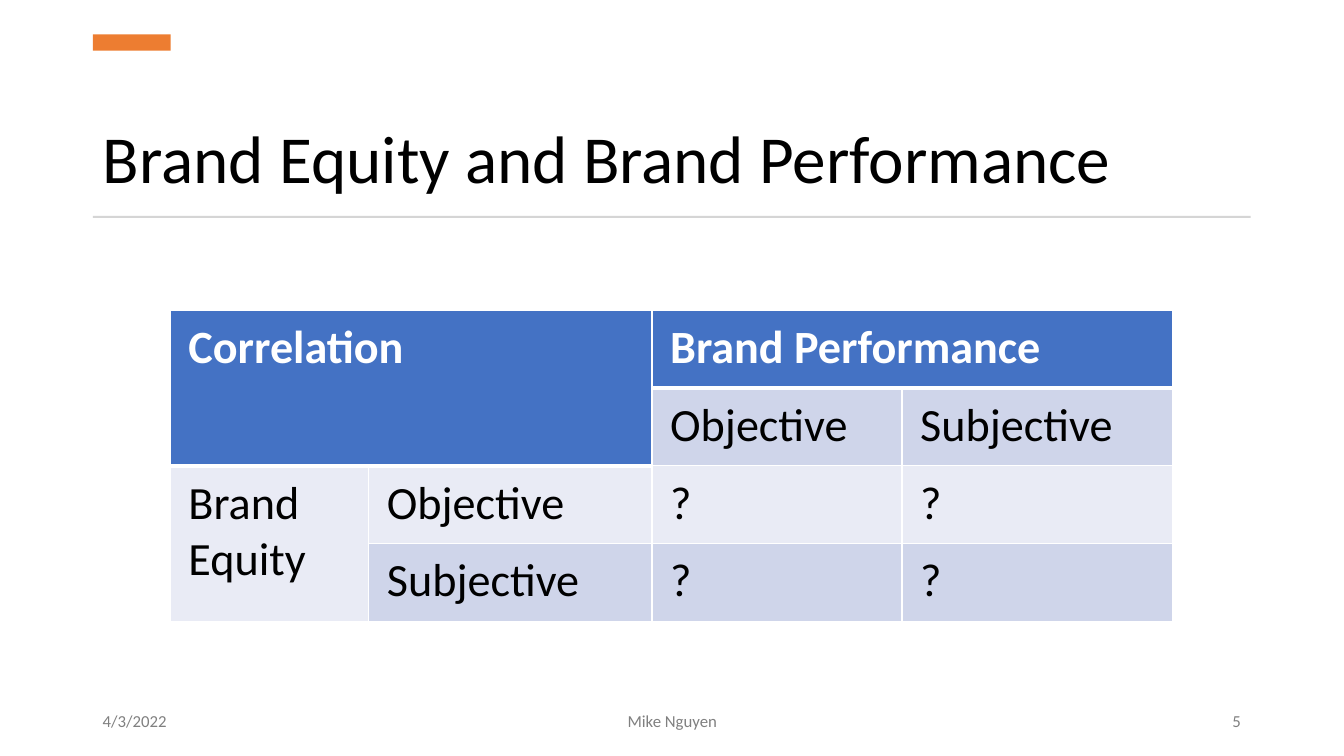
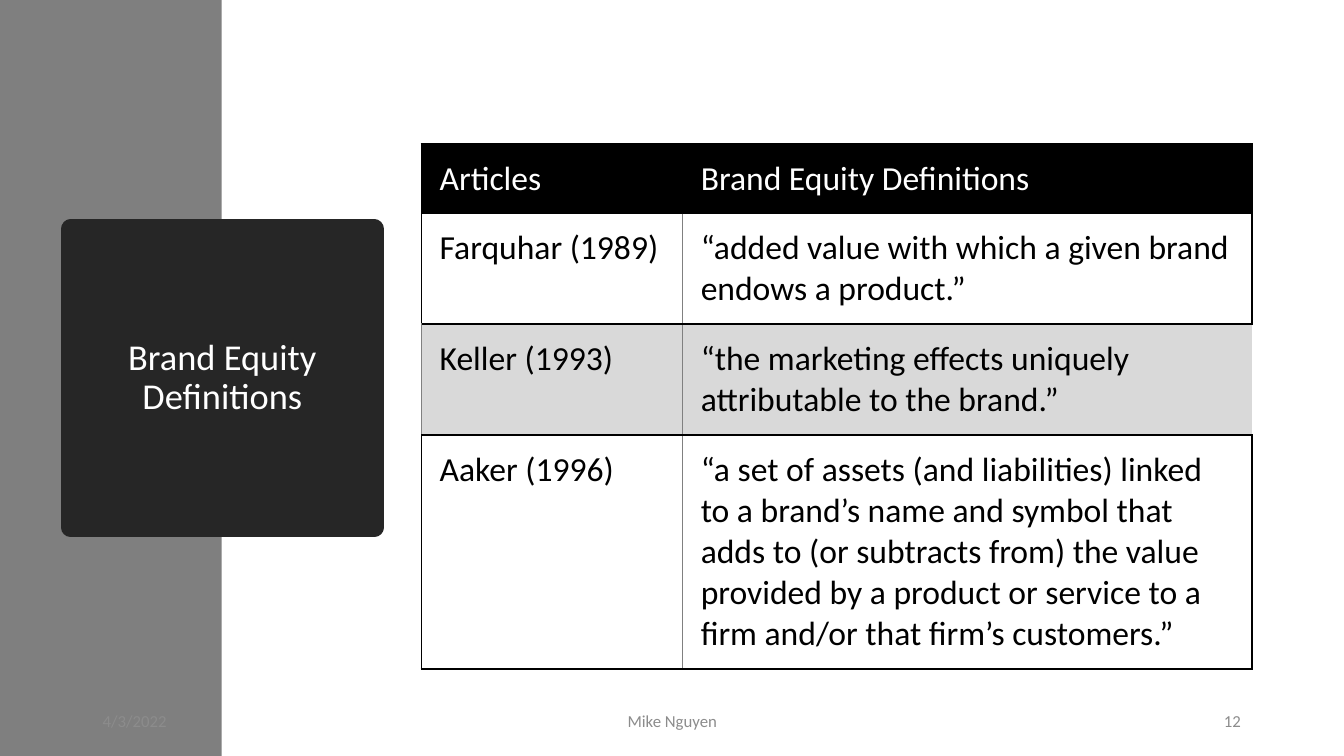
from lxml import etree
from pptx import Presentation
from pptx.dml.color import RGBColor
from pptx.enum import shapes, text
from pptx.oxml.ns import qn
from pptx.util import Cm, Pt

FONT = "Calibri"
WIDE, HIGH = 33.87, 19.05
LEFT, SPAN = 2.34, 29.18
NO_STYLE = "{2D5ABB26-0587-4C30-8999-92F81FD0307C}"
ALIGN = text.PP_ALIGN
MIDDLE = text.MSO_ANCHOR.MIDDLE

BLACK, WHITE, GREY = "000000", "FFFFFF", "808080"
DARK, BAND, ORANGE, RULE = "262626", "7F7F7F", "ED7D31", "D5D5D5"
BLUE, PALE, LIGHT, SHADE = "4472C4", "CFD5EA", "E9EBF5", "D9D9D9"

DATE, AUTHOR = "4/3/2022", "Mike Nguyen"

MATRIX = {
    "at": (4.29, 7.82),
    "cols": (5, 7.14, 6.3, 6.81),
    "rows": (1.96,) * 4,
    "inset": (0.46, 0.23, 0.46, 0.23),
    "size": 33,
    "cells": [
        ("Correlation", "", "Brand Performance", ""),
        ("", "", "Objective", "Subjective"),
        ("Brand Equity", "Objective", "?", "?"),
        ("", "Subjective", "?", "?"),
    ],
    "spans": [((0, 0), (1, 1)), ((0, 2), (0, 3)), ((2, 0), (3, 0))],
}
QUOTES = {
    "at": (10.62, 3.63),
    "cols": (6.58, 14.35),
    "rows": (1.7, 2.79, 2.79, 5.87),
    "inset": (0.46, 0.36, 0.36, 0.36),
    "size": 24,
    "cells": [
        ("Articles", "Brand Equity Definitions"),
        ("Farquhar (1989)",
         "“added value with which a given brand endows a product.”"),
        ("Keller (1993)",
         "“the marketing effects uniquely attributable to the brand.”"),
        ("Aaker (1996)",
         "“a set of assets (and liabilities) linked to a brand’s name and "
         "symbol that adds to (or subtracts from) the value provided by a "
         "product or service to a firm and/or that firm’s customers.”"),
    ],
    "spans": [],
}


def rgb(code):
    return RGBColor.from_string(code)


def paint(item, code):
    item.fill.solid()
    item.fill.fore_color.rgb = rgb(code)


def write(frame, words, size, color, align=ALIGN.LEFT, bold=False):
    frame.text = words
    for para in frame.paragraphs:
        para.alignment = align
        for run in para.runs:
            font = run.font
            font.name, font.size, font.bold = FONT, Pt(size), bold
            font.color.rgb = rgb(color)


def block(slide, box, color):
    """Add a plain filled rectangle."""
    shape = slide.shapes.add_shape(shapes.MSO_SHAPE.RECTANGLE, *map(Cm, box))
    shape.shadow.inherit = False
    paint(shape, color)
    shape.line.fill.background()
    return shape


def head(slide, words, box, size, color, align, anchor):
    """Place and format the title placeholder."""
    title = slide.shapes.title
    title.left, title.top, title.width, title.height = map(Cm, box)
    frame = title.text_frame
    write(frame, words, size, color, align)
    frame.auto_size = text.MSO_AUTO_SIZE.NONE
    frame.vertical_anchor = anchor
    frame.paragraphs[0].line_spacing = 0.9
    return title


def footer(slide, number, color):
    parts = [
        (DATE, LEFT, 6.86, ALIGN.LEFT),
        (AUTHOR, 11.23, 11.43, ALIGN.CENTER),
        (str(number), LEFT + SPAN - 6.9, 6.9, ALIGN.RIGHT),
    ]
    for words, left, width, align in parts:
        box = slide.shapes.add_textbox(Cm(left), Cm(17.65), Cm(width), Cm(1.02))
        frame = box.text_frame
        frame.word_wrap = True
        frame.vertical_anchor = MIDDLE
        write(frame, words, 12, color, align)


def border(cell, edges):
    """Draw cell borders; edges maps L, R, T, B to (colour, points)."""
    props = cell._tc.get_or_add_tcPr()
    drawn = [side for side in "LRTB" if side in edges]
    for spot, side in enumerate(drawn):
        color, width = edges[side]
        line = etree.Element(qn("a:ln" + side), w=str(Pt(width)))
        fill = etree.SubElement(line, qn("a:solidFill"))
        etree.SubElement(fill, qn("a:srgbClr"), val=color)
        props.insert(spot, line)


def grid(slide, data, style):
    """Add a table; style(row, col) gives fill, ink, bold, anchor, edges."""
    cols, rows = data["cols"], data["rows"]
    box = (*data["at"], sum(cols), sum(rows))
    table = slide.shapes.add_table(len(rows), len(cols), *map(Cm, box)).table
    table.first_row = table.horz_banding = False
    table._tbl.tblPr.find(qn("a:tableStyleId")).text = NO_STYLE
    for col, width in zip(table.columns, cols):
        col.width = Cm(width)
    for row, height in zip(table.rows, rows):
        row.height = Cm(height)
    for r, line in enumerate(data["cells"]):
        for c, words in enumerate(line):
            cell = table.cell(r, c)
            fill, ink, bold, anchor, edges = style(r, c)
            (cell.margin_left, cell.margin_top, cell.margin_right,
             cell.margin_bottom) = map(Cm, data["inset"])
            cell.vertical_anchor = anchor
            write(cell.text_frame, words, data["size"], ink, bold=bold)
            if fill:
                paint(cell, fill)
            else:
                cell.fill.background()
            border(cell, edges)
    for first, last in data["spans"]:
        table.cell(*first).merge(table.cell(*last))


def heading(r, c):
    return r == 0 or (r == 1 and c < 2)


def matrix(r, c):
    edges = dict.fromkeys("LRTB", (WHITE, 1))
    if heading(r, c):
        edges["B"] = (WHITE, 3)
    elif heading(r - 1, c):
        edges["T"] = (WHITE, 3)
    top = text.MSO_ANCHOR.TOP
    if heading(r, c):
        return BLUE, WHITE, True, top, edges
    return (LIGHT if r == 2 else PALE), BLACK, False, top, edges


def quotes(r, c):
    thick, thin = (BLACK, 1.5), (GREY, 0.5)
    outer = "R" if c else "L"
    if r == 0:
        edges = {"T": thick, "L": thick, "R": thick}
        return BLACK, WHITE, False, MIDDLE, edges
    edges = {"R" if c == 0 else "L": thin}
    if r == 2:
        edges["T"] = thick
        if c == 0:
            edges["L"] = thin
    else:
        edges[outer] = edges["B"] = thick
    fill = SHADE if r == 2 else None
    return fill, BLACK, False, text.MSO_ANCHOR.TOP, edges


def main():
    deck = Presentation()
    deck.slide_width, deck.slide_height = Cm(WIDE), Cm(HIGH)
    layout = deck.slide_layouts[5]

    slide = deck.slides.add_slide(layout)
    head(slide, "Brand Equity and Brand Performance", (LEFT, 1.9, SPAN, 3.23),
         48, BLACK, ALIGN.LEFT, text.MSO_ANCHOR.BOTTOM)
    block(slide, (LEFT, 0.87, 1.96, 0.41), ORANGE)
    block(slide, (LEFT, 5.44, SPAN, 0.05), RULE)
    grid(slide, MATRIX, matrix)
    footer(slide, 5, GREY)

    slide = deck.slides.add_slide(layout)
    title = head(slide, "Brand Equity Definitions", (1.78, 5.77, 7.65, 7.52),
                 26, WHITE, ALIGN.CENTER, MIDDLE)
    paint(title, DARK)
    title.line.color.rgb = rgb(DARK)
    title.line.width = Pt(13.75)
    etree.SubElement(title.line._get_or_add_ln(), qn("a:round"))
    band = block(slide, (0, 0, 5.59, HIGH), BAND)
    title.element.addprevious(band.element)
    grid(slide, QUOTES, quotes)
    footer(slide, 12, "8C8C8C")

    deck.save("out.pptx")


if __name__ == "__main__":
    main()
